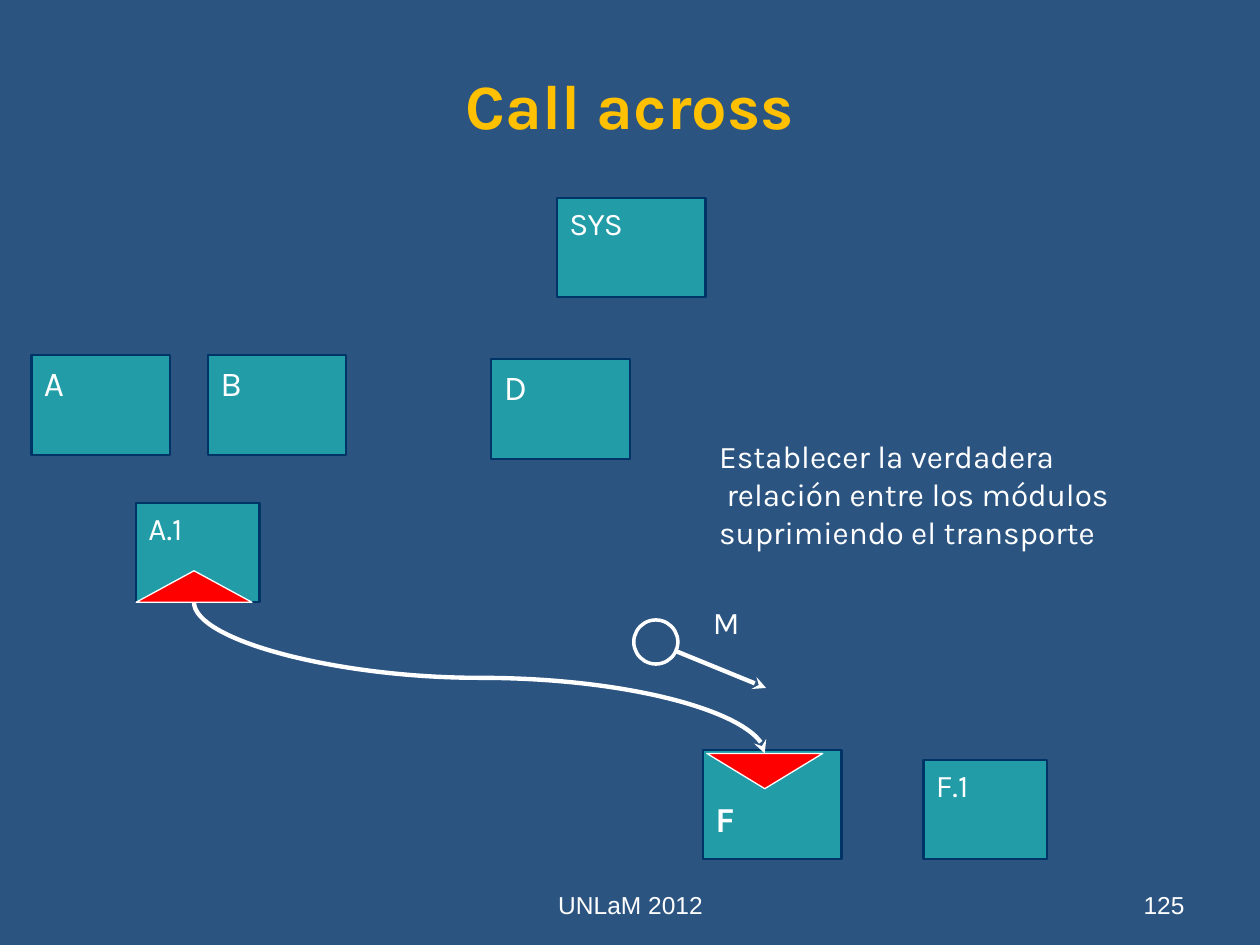
from lxml import etree
from pptx import Presentation
from pptx.dml.color import RGBColor
from pptx.enum.shapes import MSO_CONNECTOR, MSO_SHAPE
from pptx.enum.text import MSO_ANCHOR, PP_ALIGN
from pptx.oxml.ns import qn
from pptx.util import Inches, Pt

RECTANGLE, TRIANGLE, OVAL = MSO_SHAPE.RECTANGLE, MSO_SHAPE.ISOSCELES_TRIANGLE, MSO_SHAPE.OVAL
STRAIGHT, CURVE = MSO_CONNECTOR.STRAIGHT, MSO_CONNECTOR.CURVE
LEFT, CENTER, RIGHT = PP_ALIGN.LEFT, PP_ALIGN.CENTER, PP_ALIGN.RIGHT
TOP, MIDDLE, BOTTOM = MSO_ANCHOR.TOP, MSO_ANCHOR.MIDDLE, MSO_ANCHOR.BOTTOM

BACKGROUND, WHITE, GOLD = "2B5481", "FFFFFF", "FFC000"
MODULE_FILL, MODULE_LINE, RED = "1BE5CD", "003366", "FF0000"
BODY_FONT, FOOTER_FONT = "Karla", "Arial"

TITLE = "Call across"
# label, box, size, bold, top inset
MODULES = [
    ("SYS", (4.42, 1.57, 1.18, 0.79), 18, False, 0.05),
    ("A", (0.25, 2.82, 1.1, 0.79), 20, False, 0.05),
    ("B", (1.65, 2.82, 1.1, 0.79), 20, False, 0.05),
    ("D", (3.9, 2.85, 1.1, 0.79), 20, False, 0.05),
    ("A.1", (1.08, 3.99, 0.98, 0.79), 18, False, 0.05),
    ("F", (5.58, 5.95, 1.1, 0.87), 20, True, 0.38),
    ("F.1", (7.33, 6.03, 0.98, 0.79), 18, False, 0.05),
]
CALLER_MARK = (1.08, 4.53, 0.92, 0.25)
CALLED_MARK = (5.61, 5.98, 0.92, 0.28)
COUPLE_CIRCLE = (5.03, 4.92, 0.35, 0.35)
COUPLE_ARROW = ((5.37, 5.17), (6.08, 5.46))
NOTE = ["Establecer la verdadera", " relación entre los módulos", "suprimiendo el transporte"]
# lines, box, size, font, alignment, anchor, wrap
TEXTS = [
    (["M"], (5.56, 4.74, 0.44, 0.5), 18, BODY_FONT, LEFT, TOP, False),
    (NOTE, (5.61, 3.42, 3.87, 1.3), 18, BODY_FONT, LEFT, TOP, False),
    (["125"], (7.17, 6.83, 2.33, 0.52), 14, FOOTER_FONT, RIGHT, BOTTOM, True),
    (["UNLaM 2012"], (3.42, 6.83, 3.17, 0.52), 14, FOOTER_FONT, CENTER, BOTTOM, True),
]


def rgb(color):
    return RGBColor.from_string(color)


def inches(values):
    return [Inches(value) for value in values]


def write(frame, lines, size, font=BODY_FONT, color=WHITE, bold=False,
          align=LEFT, anchor=TOP, wrap=True):
    frame.word_wrap = wrap
    frame.vertical_anchor = anchor
    for index, line in enumerate(lines):
        paragraph = frame.paragraphs[0] if index == 0 else frame.add_paragraph()
        paragraph.alignment = align
        run = paragraph.add_run()
        run.text = line
        run.font.name, run.font.size, run.font.bold = font, Pt(size), bold
        run.font.color.rgb = rgb(color)


def add_figure(slide, kind, box, fill, line, width):
    figure = slide.shapes.add_shape(kind, *inches(box))
    figure.shadow.inherit = False
    if fill:
        figure.fill.solid()
        figure.fill.fore_color.rgb = rgb(fill)
    else:
        figure.fill.background()
    figure.line.color.rgb = rgb(line)
    figure.line.width = Pt(width)
    return figure


def add_module(slide, label, box, size, bold, top_inset):
    module = add_figure(slide, RECTANGLE, box, MODULE_FILL, MODULE_LINE, 1.25)
    color = module.fill._xPr.find(qn("a:solidFill"))[0]
    etree.SubElement(color, qn("a:alpha"), val="50000")
    write(module.text_frame, [label], size, bold=bold)
    module.text_frame.margin_top = Inches(top_inset)


def add_arrow(slide, kind, start, end):
    arrow = slide.shapes.add_connector(kind, *inches(start + end))
    arrow.line.color.rgb = rgb(WHITE)
    arrow.line.width = Pt(2.5)
    etree.SubElement(arrow.line._get_or_add_ln(), qn("a:tailEnd"), type="stealth")
    etree.SubElement(arrow._element.spPr, qn("a:effectLst"))
    return arrow


def add_vertical_curve(slide, start, end):
    """Curve that leaves and arrives vertically: a horizontal one turned by 270 degrees."""
    center_x, center_y = (start[0] + end[0]) / 2, (start[1] + end[1]) / 2
    half_x, half_y = (end[0] - start[0]) / 2, (end[1] - start[1]) / 2
    curve = add_arrow(slide, CURVE, (center_x + half_y, center_y - half_x),
                      (center_x - half_y, center_y + half_x))
    curve._element.spPr.find(qn("a:xfrm")).set("rot", str(270 * 60000))


def main():
    deck = Presentation()
    deck.slide_width, deck.slide_height = Inches(10), Inches(7.5)
    slide = deck.slides.add_slide(deck.slide_layouts[5])
    slide.background.fill.solid()
    slide.background.fill.fore_color.rgb = rgb(BACKGROUND)

    title = slide.shapes.title
    title.left, title.top, title.width, title.height = inches((0.5, 0.42, 9, 0.81))
    write(title.text_frame, [TITLE], 36, color=GOLD, bold=True, align=CENTER, anchor=MIDDLE)

    for module in MODULES:
        add_module(slide, *module)

    add_figure(slide, TRIANGLE, CALLER_MARK, RED, WHITE, 0.75)
    called = add_figure(slide, TRIANGLE, CALLED_MARK, RED, WHITE, 0.75)
    called._element.spPr.find(qn("a:xfrm")).set("flipV", "1")

    left, top, width, height = CALLER_MARK
    call_start = (left + width / 2, top + height)
    left, top, width, height = CALLED_MARK
    add_vertical_curve(slide, call_start, (left + width / 2, top))

    add_figure(slide, OVAL, COUPLE_CIRCLE, None, WHITE, 2)
    add_arrow(slide, STRAIGHT, *COUPLE_ARROW)

    for lines, box, size, font, align, anchor, wrap in TEXTS:
        frame = slide.shapes.add_textbox(*inches(box)).text_frame
        write(frame, lines, size, font, align=align, anchor=anchor, wrap=wrap)

    deck.save("out.pptx")


if __name__ == "__main__":
    main()
